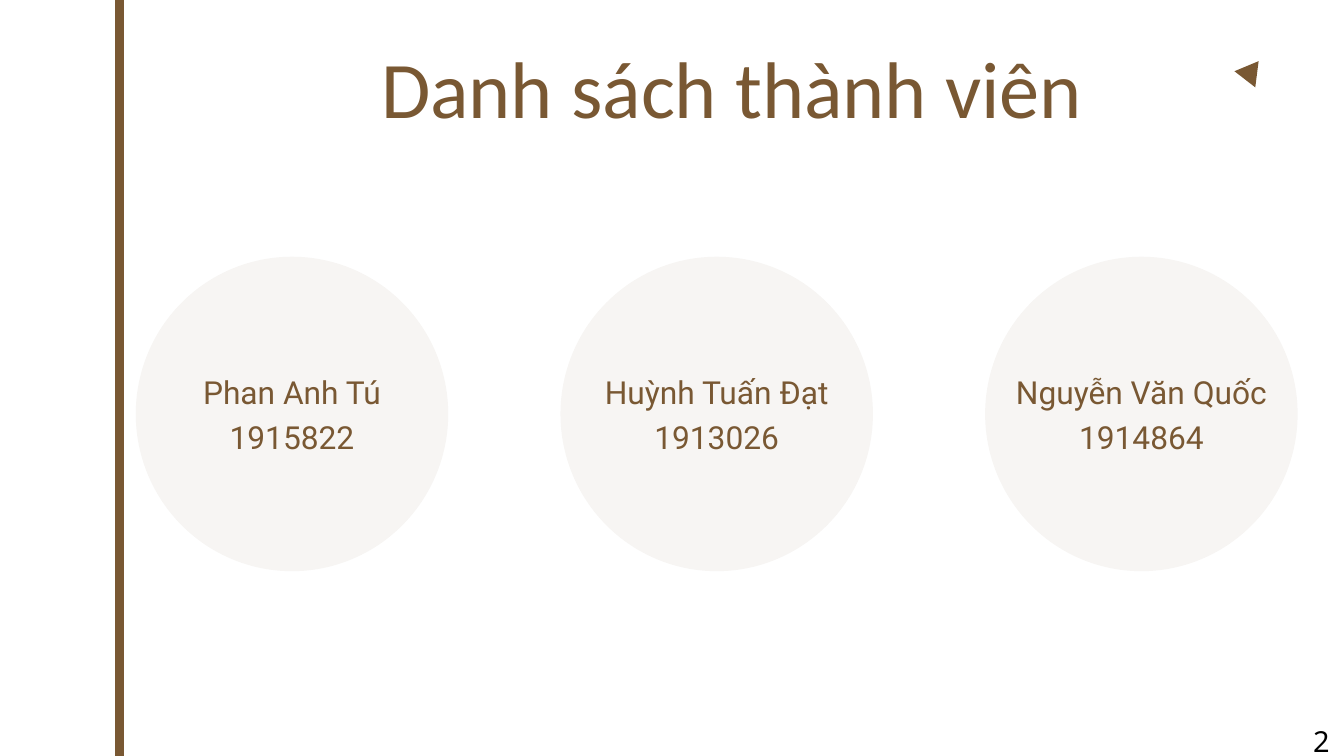
from lxml import etree
from pptx import Presentation
from pptx.dml.color import RGBColor
from pptx.enum.shapes import MSO_CONNECTOR, MSO_SHAPE
from pptx.enum.text import MSO_ANCHOR, MSO_AUTO_SIZE, PP_ALIGN
from pptx.oxml.ns import qn
from pptx.util import Inches, Pt

OVAL = MSO_SHAPE.OVAL
STRAIGHT = MSO_CONNECTOR.STRAIGHT
CENTER = PP_ALIGN.CENTER
TOP = MSO_ANCHOR.TOP
NO_FIT = MSO_AUTO_SIZE.NONE

TITLE = "Danh sách thành viên"
MEMBERS = [
    ("Phan Anh Tú", "1915822"),
    ("Huỳnh Tuấn Đạt", "1913026"),
    ("Nguyễn Văn Quốc", "1914864"),
]
PAGE = "2"
BROWN, BLACK = "795833", "000000"
WIDTH, HEIGHT = 20, 11.25
BAR_X = 1.78
FIRST_X, STEP, CIRCLE_Y = 2.02, 6.32, 3.82
CIRCLE_W, CIRCLE_H = 4.65, 4.68
LABEL_W, LABEL_H, LABEL_Y = 4.08, 1.3, 5.46
MARKER = [(1868, 130), (1837, 106), (1873, 91)]


def rgb(value):
    return RGBColor.from_string(value)


def box(x, y, w, h):
    return [Inches(v) for v in (x, y, w, h)]


def write(sp, lines, size, font, color=BROWN, spacing=1.4):
    tf = sp.text_frame
    tf.word_wrap = True
    tf.auto_size = NO_FIT
    tf.vertical_anchor = TOP
    tf.margin_left = tf.margin_right = tf.margin_top = tf.margin_bottom = 0
    for i, line in enumerate(lines):
        p = tf.add_paragraph() if i else tf.paragraphs[0]
        p.alignment = CENTER
        p.line_spacing = Pt(size * spacing)
        r = p.add_run()
        r.text = line
        r.font.size = Pt(size)
        r.font.name = font
        r.font.color.rgb = rgb(color)


def paint(sp, color, alpha=None):
    sp.shadow.inherit = False
    sp.fill.solid()
    sp.fill.fore_color.rgb = rgb(color)
    sp.line.fill.background()
    if alpha:
        clr = sp._element.spPr.find(".//" + qn("a:srgbClr"))
        etree.SubElement(clr, qn("a:alpha")).set("val", str(alpha * 1000))


prs = Presentation()
prs.slide_width, prs.slide_height = Inches(WIDTH), Inches(HEIGHT)
s = prs.slides.add_slide(prs.slide_layouts[5])

title = s.shapes.title
title.left, title.top, title.width, title.height = box(BAR_X, 0.33, WIDTH - BAR_X, 3.27)
write(title, [TITLE], 86, "Calibri")

bar = s.shapes.add_connector(STRAIGHT, Inches(BAR_X), 0, Inches(BAR_X), Inches(HEIGHT))
bar.line.color.rgb = rgb(BROWN)
bar.line.width = Pt(9.75)
etree.SubElement(bar._element.spPr, qn("a:effectLst"))

builder = s.shapes.build_freeform(*MARKER[0], scale=Inches(0.01))
builder.add_line_segments(MARKER[1:], close=True)
paint(builder.convert_to_shape(), BROWN)

for i, member in enumerate(MEMBERS):
    x = FIRST_X + i * STEP
    circle = s.shapes.add_shape(OVAL, *box(x, CIRCLE_Y, CIRCLE_W, CIRCLE_H))
    paint(circle, BROWN, alpha=6)
    label_x = x + (CIRCLE_W - LABEL_W) / 2
    label = s.shapes.add_textbox(*box(label_x, LABEL_Y, LABEL_W, LABEL_H))
    write(label, member, 34, "Roboto")

page = s.shapes.add_textbox(*box(WIDTH - 0.67, HEIGHT - 0.57, 0.67, 0.57))
write(page, [PAGE], 31, "Noto Sans", BLACK)

prs.save("out.pptx")
